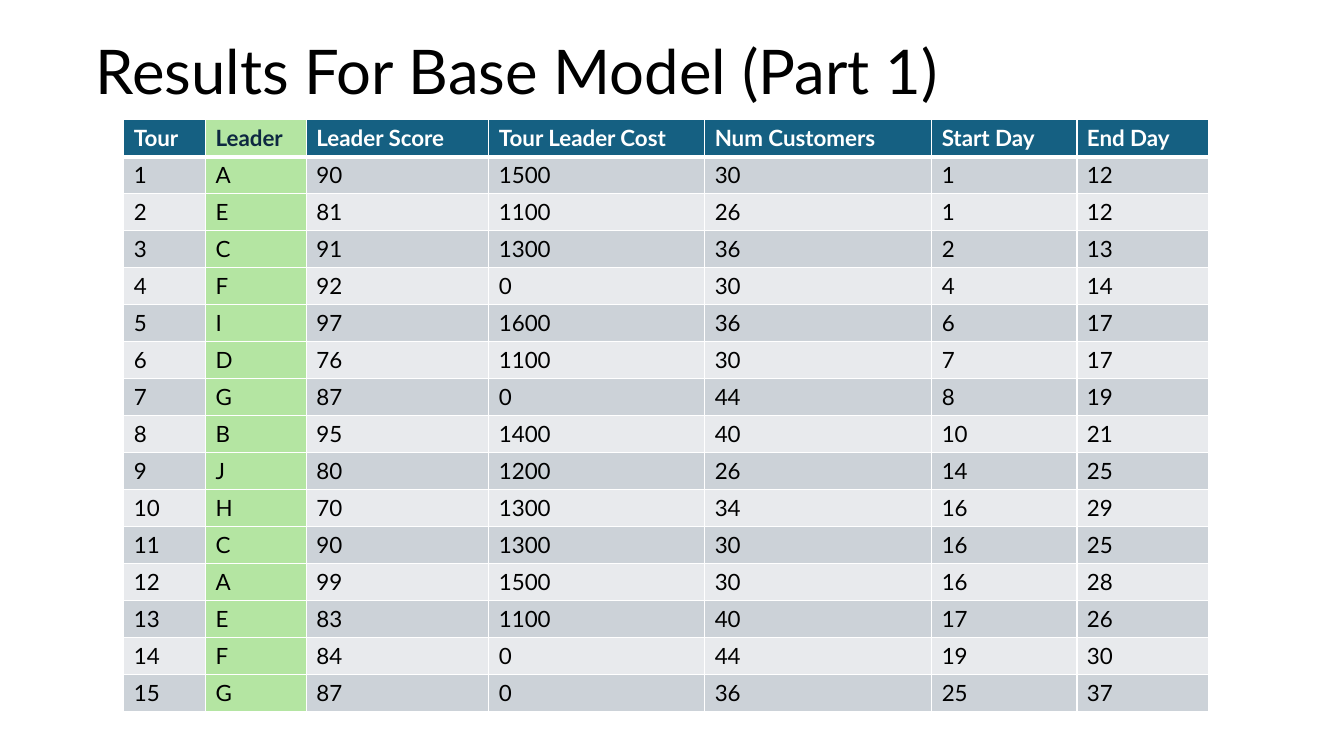
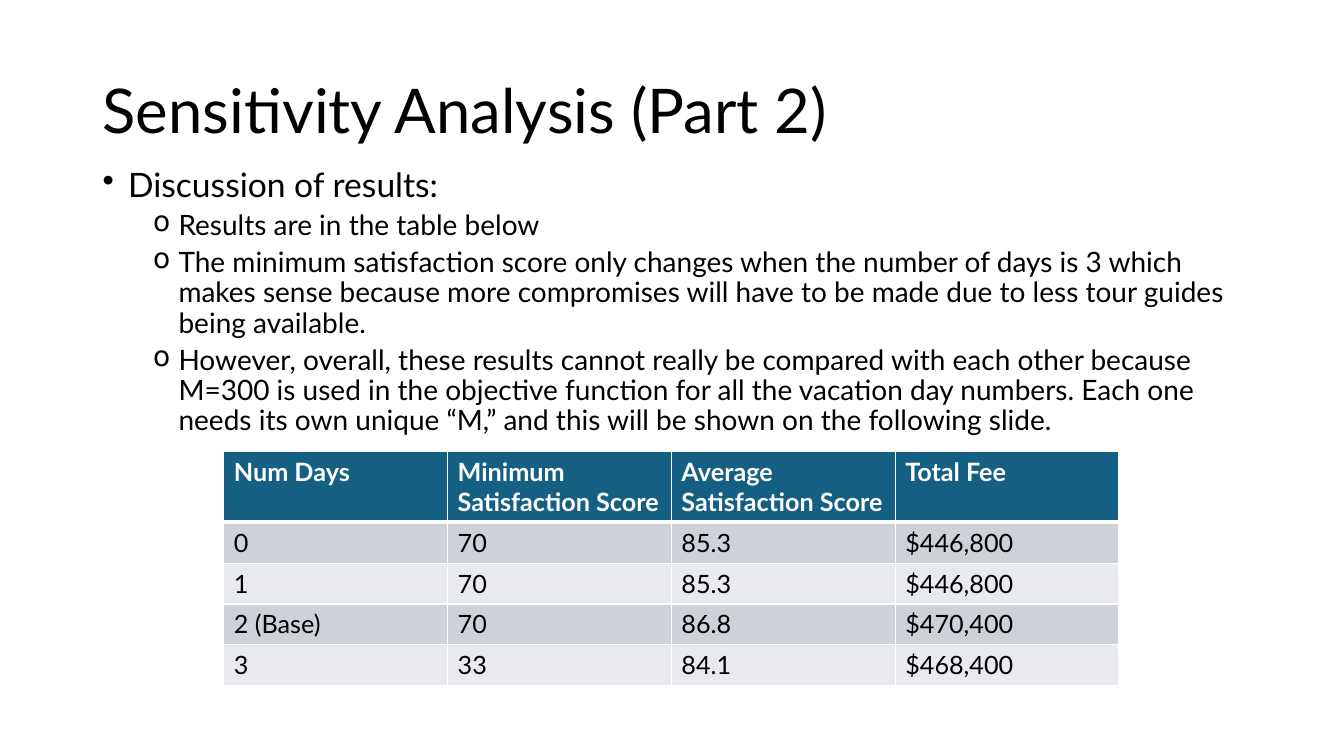
import pptx
import pptx.dml.color
import pptx.enum.text
import pptx.oxml
import pptx.oxml.ns
import pptx.util

Cm = pptx.util.Cm
Pt = pptx.util.Pt

COLOURS = {
    "text": "000000",
    "head": "156082",
    "head_text": "FFFFFF",
    "accent": "B4E5A2",
    "accent_text": "0E2841",
    "odd": "CCD2D8",
    "even": "E8EAED",
    "rule": "FFFFFF",
}
FONT = "Lato"
NAMESPACE = pptx.oxml.ns.nsdecls("a")


class Deck:
    """Hold the shared style and the current slide, and draw each kind of element."""

    def __init__(self):
        self.show = pptx.Presentation()
        self.show.slide_width = Cm(33.87)
        self.show.slide_height = Cm(19.05)
        self.slide = None

    def new_slide(self):
        self.slide = self.show.slides.add_slide(self.show.slide_layouts[6])

    def colour(self, name):
        return pptx.dml.color.RGBColor.from_string(COLOURS[name])

    def add_words(self, paragraph, text, size, colour="text", bold=False):
        run = paragraph.add_run()
        run.text = text
        formats = {"name": FONT, "size": Pt(size), "bold": bold}
        for key, value in formats.items():
            setattr(run.font, key, value)
        run.font.color.rgb = self.colour(colour)

    def text_frame(self, left, top, width, height, anchor):
        box = self.slide.shapes.add_textbox(Cm(left), Cm(top), Cm(width), Cm(height))
        formats = {"word_wrap": True, "vertical_anchor": anchor}
        for key, value in formats.items():
            setattr(box.text_frame, key, value)
        return box.text_frame

    def title(self, text, left, top, height):
        middle = pptx.enum.text.MSO_ANCHOR.MIDDLE
        heading = self.text_frame(left, top, 29.21, height, middle).paragraphs[0]
        heading.line_spacing = 0.9
        self.add_words(heading, text, 44)

    def bullets(self, items, left, top, width, height):
        styles = [
            {"size": 24, "before": 10, "indent": 0.64, "mark": "•"},
            {"size": 20, "before": 5, "indent": 1.91, "mark": "o"},
        ]
        frame = self.text_frame(left, top, width, height, pptx.enum.text.MSO_ANCHOR.TOP)
        for number, (level, text) in enumerate(items):
            point = frame.add_paragraph() if number else frame.paragraphs[0]
            style = styles[level]
            formats = {"level": level, "line_spacing": 0.9, "space_before": Pt(style["before"])}
            for key, value in formats.items():
                setattr(point, key, value)
            properties = point._p.get_or_add_pPr()
            properties.set("marL", str(Cm(style["indent"])))
            properties.set("indent", str(-Cm(0.64)))
            mark = f'<a:buChar {NAMESPACE} char="{style["mark"]}"/>'
            properties.append(pptx.oxml.parse_xml(mark))
            self.add_words(point, text, style["size"])

    def borders(self, cell, top, bottom):
        properties = cell._tc.get_or_add_tcPr()
        sides = {"lnL": 1, "lnR": 1, "lnT": top, "lnB": bottom}
        for place, (side, weight) in enumerate(sides.items()):
            line = (
                f'<a:{side} {NAMESPACE} w="{Pt(weight)}"><a:solidFill>'
                f'<a:srgbClr val="{COLOURS["rule"]}"/></a:solidFill></a:{side}>'
            )
            properties.insert(place, pptx.oxml.parse_xml(line))

    def table(self, rows, left, top, widths, heights, size, accent=None):
        grid = self.slide.shapes.add_table(
            len(rows), len(widths), Cm(left), Cm(top), Cm(sum(widths)), Cm(sum(heights))
        ).table
        grid.horz_banding = False
        for column, width in zip(grid.columns, widths):
            column.width = Cm(width)
        for r, (values, height) in enumerate(zip(rows, heights)):
            grid.rows[r].height = Cm(height)
            header = r == 0
            band = "head" if header else "odd" if r % 2 else "even"
            for c, value in enumerate(values):
                cell = grid.cell(r, c)
                marked = c == accent
                cell.fill.solid()
                cell.fill.fore_color.rgb = self.colour("accent" if marked else band)
                self.borders(cell, 3 if r == 1 else 1, 3 if header else 1)
                ink = "text"
                if header:
                    ink = "accent_text" if marked else "head_text"
                self.add_words(cell.text_frame.paragraphs[0], value, size, ink, header)


TOURS = [
    ("Tour", "Leader", "Leader Score", "Tour Leader Cost", "Num Customers", "Start Day", "End Day"),
    ("1", "A", "90", "1500", "30", "1", "12"),
    ("2", "E", "81", "1100", "26", "1", "12"),
    ("3", "C", "91", "1300", "36", "2", "13"),
    ("4", "F", "92", "0", "30", "4", "14"),
    ("5", "I", "97", "1600", "36", "6", "17"),
    ("6", "D", "76", "1100", "30", "7", "17"),
    ("7", "G", "87", "0", "44", "8", "19"),
    ("8", "B", "95", "1400", "40", "10", "21"),
    ("9", "J", "80", "1200", "26", "14", "25"),
    ("10", "H", "70", "1300", "34", "16", "29"),
    ("11", "C", "90", "1300", "30", "16", "25"),
    ("12", "A", "99", "1500", "30", "16", "28"),
    ("13", "E", "83", "1100", "40", "17", "26"),
    ("14", "F", "84", "0", "44", "19", "30"),
    ("15", "G", "87", "0", "36", "25", "37"),
]
DISCUSSION = [
    (0, "Discussion of results:"),
    (1, "Results are in the table below"),
    (1, "The minimum satisfaction score only changes when the number of days is 3 which makes "
        "sense because more compromises will have to be made due to less tour guides being "
        "available."),
    (1, "However, overall, these results cannot really be compared with each other because M=300 "
        "is used in the objective function for all the vacation day numbers. Each one needs its "
        "own unique “M,” and this will be shown on the following slide."),
]
SENSITIVITY = [
    ("Num Days", "Minimum Satisfaction Score", "Average Satisfaction Score", "Total Fee"),
    ("0", "70", "85.3", "$446,800"),
    ("1", "70", "85.3", "$446,800"),
    ("2 (Base)", "70", "86.8", "$470,400"),
    ("3", "33", "84.1", "$468,400"),
]


def main():
    deck = Deck()

    deck.new_slide()
    deck.title("Results For Base Model (Part 1)", 2.16, 0.53, 2.72)
    tour_widths = [2.06, 2.54, 4.6, 5.44, 5.72, 3.66, 3.33]
    deck.table(TOURS, 3.12, 3.02, tour_widths, [0.93] * len(TOURS), 16, accent=1)

    deck.new_slide()
    deck.title("Sensitivity Analysis (Part 2)", 2.34, 1.02, 3.68)
    deck.bullets(DISCUSSION, 2.34, 4.11, 29.21, 12.09)
    deck.table(SENSITIVITY, 5.64, 11.38, [5.64] * 4, [1.78] + [1.03] * 4, 18)

    deck.show.save("out.pptx")


if __name__ == "__main__":
    main()
